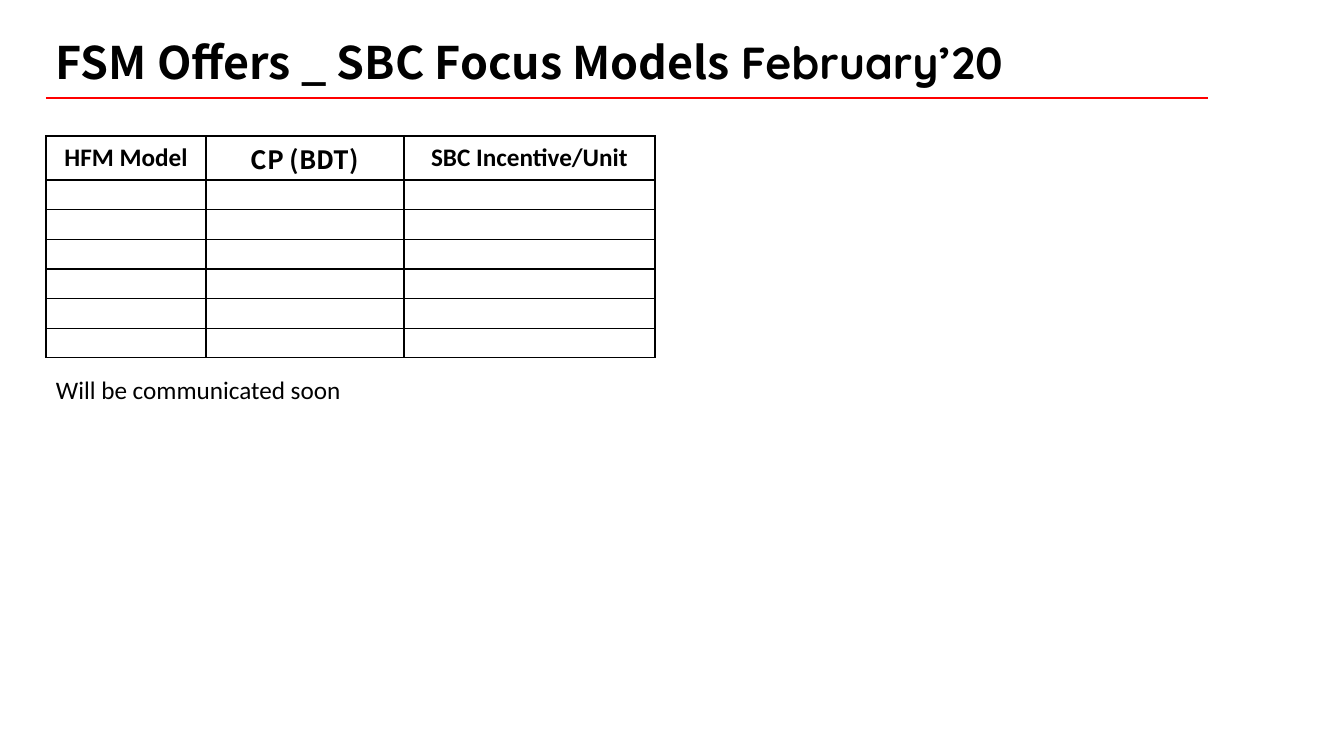
from lxml.etree import SubElement
from pptx import Presentation
from pptx.dml.color import RGBColor
from pptx.enum.shapes import MSO_CONNECTOR
from pptx.enum.text import MSO_ANCHOR as Anchor, PP_ALIGN as Align
from pptx.oxml import parse_xml
from pptx.oxml.ns import nsdecls, qn
from pptx.util import Pt

BLACK, WHITE, RED = "000000", "FFFFFF", "FF0000"
SANS, HEADING, ROUNDED = "Calibri", "Noto Sans CJK KR", "Quicksand"
LEFT = 46


def px(length):
    return round(length * 914400 / 100.8)


def color(value):
    return RGBColor.from_string(value)


class OfferSlide:
    def __init__(self, deck):
        self.slide = deck.slides.add_slide(deck.slide_layouts[6])
        self.shapes = self.slide.shapes

    def add_run(self, paragraph, text, font, size, bold=False):
        run = paragraph.add_run()
        run.text = text
        run.font.name, run.font.size, run.font.bold = font, Pt(size), bold
        run.font.color.rgb = color(BLACK)

    def text(self, box, runs, size, bold=False, wrap=True, anchor=Anchor.TOP, spacing=1.0):
        """Place one paragraph; runs holds (text, font) pairs."""
        frame = self.shapes.add_textbox(*map(px, box)).text_frame
        frame.word_wrap, frame.vertical_anchor = wrap, anchor
        paragraph = frame.paragraphs[0]
        paragraph.line_spacing = spacing
        for words, font in runs:
            self.add_run(paragraph, words, font, size, bold)

    def rule(self, left, right, y, line_color, weight):
        line = self.shapes.add_connector(MSO_CONNECTOR.STRAIGHT, px(left), px(y), px(right), px(y))
        line.line.color.rgb = color(line_color)
        line.line.width = Pt(weight)
        SubElement(line._element.spPr, qn("a:effectLst"))

    def border(self, cell, weight=1):
        properties = cell._tc.get_or_add_tcPr()
        for position, side in enumerate("LRTB"):
            properties.insert(position, parse_xml(
                f'<a:ln{side} {nsdecls("a")} w="{Pt(weight)}"><a:solidFill>'
                f'<a:srgbClr val="{BLACK}"/></a:solidFill></a:ln{side}>'))

    def table(self, left, top, columns, header_height, body_height, body_rows):
        """Draw a header row over equal empty rows; columns holds (text, font, width)."""
        width = sum(column[2] for column in columns)
        grid = self.shapes.add_table(body_rows + 1, len(columns), px(left), px(top),
                                     px(width), px(header_height + body_height)).table
        grid.first_row = grid.horz_banding = False
        for row in grid.rows:
            row.height = px(body_height) // body_rows
        grid.rows[0].height = px(header_height)
        for cell in grid.iter_cells():
            cell.fill.solid()
            cell.fill.fore_color.rgb = color(WHITE)
            cell.vertical_anchor = Anchor.MIDDLE
            cell.margin_left = cell.margin_right = px(7)
            cell.margin_top = cell.margin_bottom = 0
            self.border(cell)
        for index, (words, font, column_width) in enumerate(columns):
            grid.columns[index].width = px(column_width)
            heading = grid.cell(0, index).text_frame.paragraphs[0]
            heading.alignment = Align.CENTER
            self.add_run(heading, words, font, 18, bold=True)
            for row in range(1, body_rows + 1):
                # A small end mark lets the empty rows stay low.
                empty = grid.cell(row, index).text_frame.paragraphs[0]
                SubElement(empty._p, qn("a:endParaRPr"), sz="1200")


def main():
    deck = Presentation()
    deck.slide_width, deck.slide_height = px(1344), px(756)
    offers = OfferSlide(deck)
    offers.rule(LEFT, 1208, 98, RED, 1.5)
    offers.text((LEFT, 7, 1256, 87),
                [("FSM Offers _ SBC Focus Models ", HEADING), ("February’20", ROUNDED)],
                32, bold=True, anchor=Anchor.BOTTOM, spacing=0.9)
    offers.table(LEFT, 136,
                 [("HFM Model", SANS, 160), ("CP (BDT)", HEADING, 198),
                  ("SBC Incentive/Unit", SANS, 251)],
                 header_height=44, body_height=178, body_rows=6)
    offers.text((LEFT, 369, 308, 40), [("Will be communicated soon", SANS)], 18, wrap=False)
    deck.save("out.pptx")


if __name__ == "__main__":
    main()
